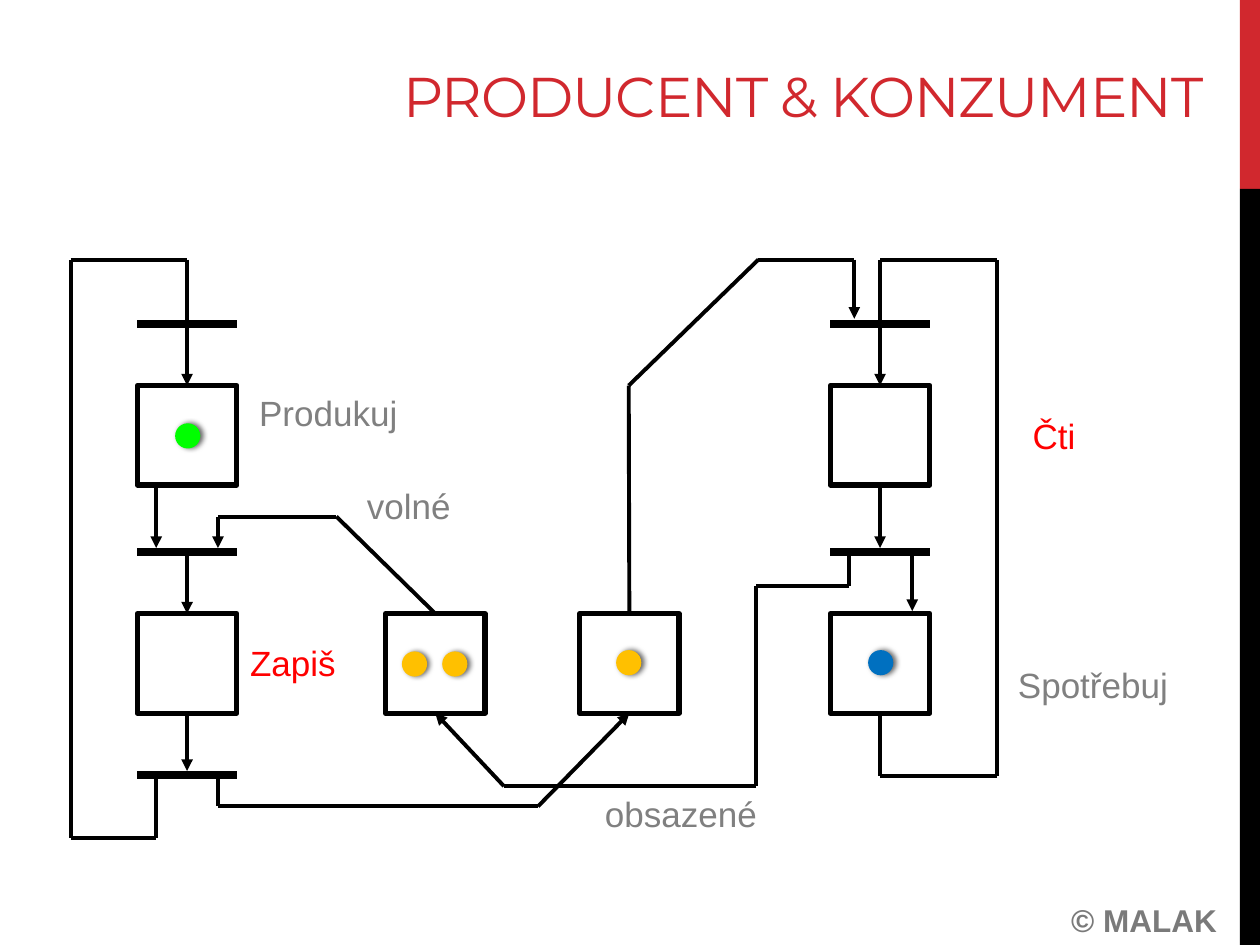
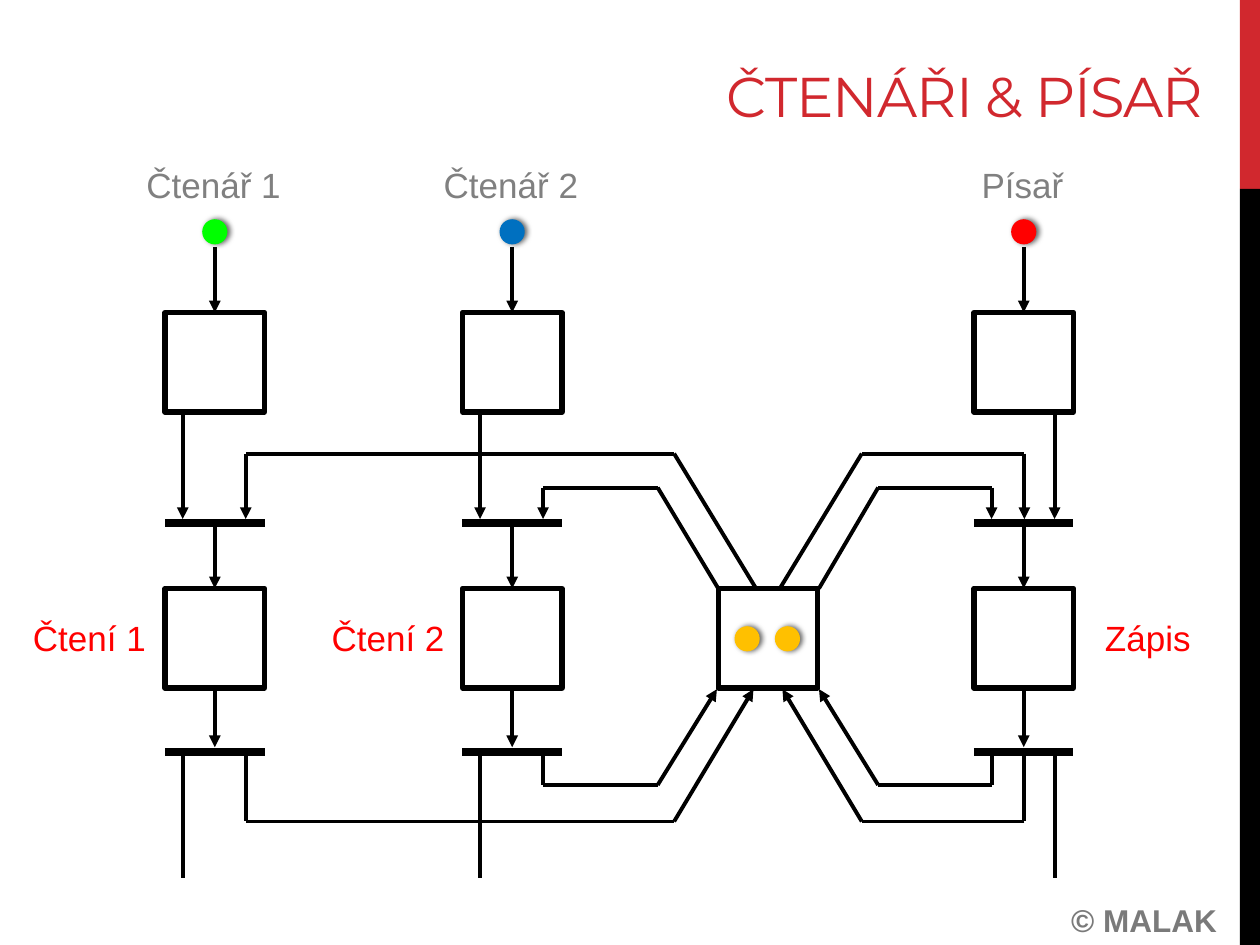
import collections
import itertools
import lxml.etree
import pptx
import pptx.dml.color
import pptx.enum.shapes
import pptx.enum.text
import pptx.oxml.ns
import pptx.util

Inches = pptx.util.Inches
Pt = pptx.util.Pt
qn = pptx.oxml.ns.qn
SHAPE = pptx.enum.shapes.MSO_SHAPE
ALIGN = pptx.enum.text.PP_ALIGN

COLORS = {
    "brand": "D1282E",
    "black": "000000",
    "white": "FFFFFF",
    "gray": "808080",
    "foot": "7A7A7A",
    "red": "FF0000",
    "green": "00FF00",
    "blue": "0070C0",
    "gold": "FFC000",
}
SIDE = 0.79
MID = SIDE / 2
DOT = 0.2
TOP, BOTTOM = 0, 2

Port = collections.namedtuple("Port", "box side")


def tint(name):
    return pptx.dml.color.RGBColor.from_string(COLORS[name])


def shape(slide, kind, left, top, width, height, color):
    form = slide.shapes.add_shape(
        kind, Inches(left), Inches(top), Inches(width), Inches(height))
    form.shadow.inherit = False
    form.fill.solid()
    form.fill.fore_color.rgb = tint(color)
    form.line.fill.background()
    return form


def place(slide, left, top):
    box = shape(slide, SHAPE.RECTANGLE, left, top, SIDE, SIDE, "white")
    box.line.color.rgb = tint("black")
    box.line.width = Pt(3)
    return box


def token(slide, left, top, color):
    dot = shape(slide, SHAPE.OVAL, left, top, DOT, DOT, color)
    glow = lxml.etree.SubElement(
        dot.element.spPr.find(qn("a:effectLst")), qn("a:outerShdw"),
        blurRad=str(Pt(3)), dist=str(Pt(1.5)), dir="0", algn="ctr", rotWithShape="0")
    black = lxml.etree.SubElement(glow, qn("a:srgbClr"), val=COLORS["black"])
    lxml.etree.SubElement(black, qn("a:alpha"), val="60000")


def spot(end):
    if isinstance(end, Port):
        box = end.box
        drop = box.height if end.side == BOTTOM else 0
        return box.left + box.width // 2, box.top + drop
    return Inches(end[0]), Inches(end[1])


def line(slide, start, end, width=2.25, tip=False):
    wire = slide.shapes.add_connector(
        pptx.enum.shapes.MSO_CONNECTOR.STRAIGHT, *spot(start), *spot(end))
    wire.line.color.rgb = tint("black")
    wire.line.width = Pt(width)
    props = wire.element.spPr
    if tip:
        lxml.etree.SubElement(props.find(qn("a:ln")), qn("a:tailEnd"), type="triangle")
    lxml.etree.SubElement(props, qn("a:effectLst"))
    if isinstance(start, Port):
        wire.begin_connect(*start)
    if isinstance(end, Port):
        wire.end_connect(*end)


def route(slide, *stops, tip=True):
    last = len(stops) - 2
    for step, (start, end) in enumerate(itertools.pairwise(stops)):
        line(slide, start, end, tip=tip and step == last)


def bar(slide, left, top):
    line(slide, (left, top), (left + SIDE, top), width=4.5)


def label(slide, text, left, top, width, color="gray", height=0.44,
          size=20, font="Arial", align=ALIGN.CENTER):
    box = slide.shapes.add_textbox(
        Inches(left), Inches(top), Inches(width), Inches(height))
    frame = box.text_frame
    frame.word_wrap = True
    frame.text = text
    frame.paragraphs[0].alignment = align
    run = frame.paragraphs[0].runs[0]
    run.font.name = font
    run.font.size = Pt(size)
    run.font.color.rgb = tint(color)
    return frame, run


def page(deck, title):
    slide = deck.slides.add_slide(deck.slide_layouts[6])
    shape(slide, SHAPE.RECTANGLE, 9.84, 0, 0.16, 1.5, "brand")
    shape(slide, SHAPE.RECTANGLE, 9.84, 1.5, 0.16, 6, "black")
    frame, run = label(slide, title, 0.32, 0.17, 9.33, "brand", 1.17,
                       32, "Montserrat", ALIGN.RIGHT)
    frame.vertical_anchor = pptx.enum.text.MSO_ANCHOR.MIDDLE
    run.font._element.set("spc", "-60")
    run = label(slide, "© MALAK", 8.31, 7.1, 1.54, "foot", 0.4, 18)[1]
    run.font.bold = True
    return slide


def goods(deck):
    slide = page(deck, "PRODUCENT & KONZUMENT")
    left, right = 1.09, 6.59
    upper, lower = 3.06, 4.87
    make, read = [place(slide, x, upper) for x in (left, right)]
    write, free, full, use = [
        place(slide, x, lower) for x in (left, 3.06, 4.6, right)]
    for x, y in itertools.product((left, right), (2.57, 4.38)):
        bar(slide, x, y)
    bar(slide, left, 6.15)

    mid = left + MID
    route(slide, (1.24, 6.15), (1.24, 6.65), (0.56, 6.65), (0.56, 2.06),
          (mid, 2.06), (mid, 2.56), Port(make, TOP))
    route(slide, (1.24, 3.85), (1.24, 4.35))
    route(slide, (mid, 4.38), Port(write, TOP))
    route(slide, Port(write, BOTTOM), (mid, 6.12))
    route(slide, Port(free, TOP), (2.67, 4.1), (1.73, 4.1), (1.73, 4.35))
    route(slide, (1.73, 6.15), (1.73, 6.4), (4.27, 6.4), Port(full, BOTTOM))

    mid = right + MID
    route(slide, Port(use, BOTTOM), (mid, 6.16), (7.91, 6.16), (7.91, 2.06),
          (mid, 2.06), (mid, 2.56), Port(read, TOP))
    route(slide, Port(read, BOTTOM), (mid, 4.35))
    route(slide, (7.24, 4.38), (7.24, 4.85))
    route(slide, Port(full, TOP), (4.99, 3.06), (6.02, 2.06),
          (6.78, 2.06), (6.78, 2.53))
    route(slide, (6.74, 4.4), (6.74, 4.65), (6, 4.65), (6, 6.24),
          (4, 6.24), Port(free, BOTTOM))

    for x, y, color in [(1.39, 3.36, "green"), (3.19, 5.17, "gold"),
                        (3.51, 5.17, "gold"), (4.89, 5.16, "gold"),
                        (6.89, 5.16, "blue")]:
        token(slide, x, y, color)
    for text, x, y, width, color in [
            ("Produkuj", 1.88, 3.06, 1.45, "gray"),
            ("Zapiš", 1.87, 5.04, 0.91, "red"),
            ("Čti", 7.91, 3.24, 0.91, "red"),
            ("Spotřebuj", 7.91, 5.22, 1.53, "gray"),
            ("obsazené", 4.64, 6.24, 1.53, "gray"),
            ("volné", 2.48, 3.8, 1.53, "gray")]:
        label(slide, text, x, y, width, color)


def lane(slide, left, rail, color, name, task, shift):
    mid = left + MID
    wait, work = [place(slide, left, y) for y in (2.48, 4.67)]
    for y in (4.15, 5.97):
        bar(slide, left, y)
    route(slide, (mid, 1.96), Port(wait, TOP))
    route(slide, (left + rail, 3.27), (left + rail, 4.12))
    route(slide, (mid, 4.18), Port(work, TOP))
    route(slide, Port(work, BOTTOM), (mid, 5.93))
    route(slide, (left + rail, 5.99), (left + rail, 6.97), tip=False)
    token(slide, mid - DOT / 2, 1.74, color)
    label(slide, name, left - 0.34, 1.25, 1.45)
    label(slide, task, left + shift, 4.84, 1.18, "red")


def library(deck):
    slide = page(deck, "ČTENÁŘI & PÍSAŘ")
    high, low = (3.6, 6.52), (3.87, 6.23)
    for x, bend, inner, outer, (rise, fall) in [
            (1.95, 5.35, 6, 5.98, high), (4.31, 5.22, 5.7, 5.69, low),
            (8.13, 6.84, 6.19, 6.21, high), (7.87, 6.97, 6.5, 6.5, low)]:
        route(slide, (inner, 4.67), (bend, rise), (x, rise), (x, 4.12))
        route(slide, (x, 5.99), (x, fall), (bend, fall), (outer, 5.47))
    place(slide, 5.7, 4.67)
    for x in (5.83, 6.15):
        token(slide, x, 4.97, "gold")
    lane(slide, 1.31, 0.14, "green", "Čtenář 1", "Čtení 1", -1.19)
    lane(slide, 3.67, 0.14, "blue", "Čtenář 2", "Čtení 2", -1.18)
    lane(slide, 7.73, 0.64, "red", "Písař", "Zápis", SIDE)


def main():
    deck = pptx.Presentation()
    deck.slide_width = Inches(10)
    deck.slide_height = Inches(7.5)
    goods(deck)
    library(deck)
    deck.save("out.pptx")


if __name__ == "__main__":
    main()
